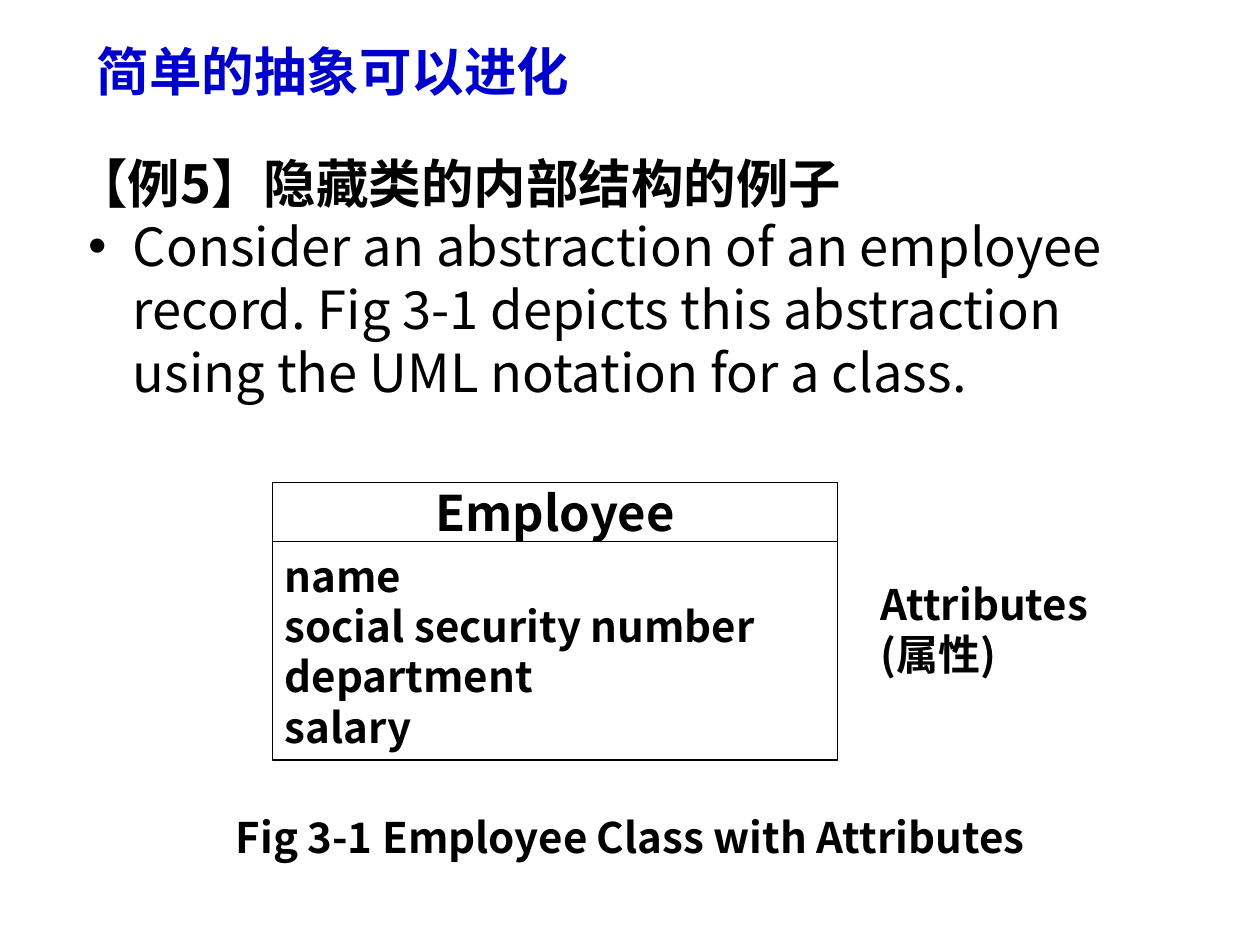
from lxml import etree
from pptx import Presentation
from pptx.dml.color import RGBColor
from pptx.enum.shapes import MSO_SHAPE
from pptx.enum.text import MSO_ANCHOR, PP_ALIGN
from pptx.oxml.ns import qn
from pptx.util import Cm, Pt

RECT = MSO_SHAPE.RECTANGLE
TOP, MIDDLE = MSO_ANCHOR.TOP, MSO_ANCHOR.MIDDLE
LEFT, CENTER = PP_ALIGN.LEFT, PP_ALIGN.CENTER
FONT = "Noto Sans CJK SC"
COLORS = {"title": "0000CC", "text": "000000", "line": "000000", "fill": "FFFFFF"}


def rgb(name):
    """Return the named colour."""
    return RGBColor.from_string(COLORS[name])


def add_bullet(p):
    """Give a paragraph a round bullet and a hanging indent."""
    pPr = p._p.get_or_add_pPr()
    pPr.set("marL", str(Cm(1.16)))
    pPr.set("indent", str(-Cm(0.9)))
    etree.SubElement(pPr, qn("a:buFont"), typeface="Arial")
    etree.SubElement(pPr, qn("a:buChar"), char="•")


def write(p, text, size, bold=True, color="text", **formats):
    """Write one formatted run into a paragraph."""
    for name, value in formats.items():
        setattr(p, name, value)
    r = p.add_run()
    r.text = text
    for name, value in {"size": Pt(size), "bold": bold, "name": FONT}.items():
        setattr(r.font, name, value)
    r.font.color.rgb = rgb(color)
    etree.SubElement(r._r.get_or_add_rPr(), qn("a:ea"), typeface=FONT)


def prepare_frame(sp, anchor=TOP):
    """Set wrapping and anchor, and return the text frame."""
    tf = sp.text_frame
    for name, value in {"word_wrap": True, "vertical_anchor": anchor}.items():
        setattr(tf, name, value)
    return tf


def add_text(s, box, text, size, **formats):
    """Add a text box with one paragraph and return its frame."""
    tf = prepare_frame(s.shapes.add_textbox(*map(Cm, box)))
    write(tf.paragraphs[0], text, size, **formats)
    return tf


def add_compartment(group, box, lines, size, alignment):
    """Add one outlined compartment of a class diagram."""
    sp = group.shapes.add_shape(RECT, *map(Cm, box))
    sp.shadow.inherit = False
    sp.fill.solid()
    sp.fill.fore_color.rgb = rgb("fill")
    sp.line.color.rgb = rgb("line")
    sp.line.width = Pt(0.75)
    tf = prepare_frame(sp, MIDDLE)
    for i, line in enumerate(lines):
        p = tf.add_paragraph() if i else tf.paragraphs[0]
        write(p, line, size, alignment=alignment)


def add_class(s, left, top, width, name, attributes):
    """Add a UML class with a name and an attribute compartment."""
    group = s.shapes.add_group_shape()
    name_height, attributes_height = 1.19, 4.4
    add_compartment(group, (left, top, width, name_height), [name], 28, CENTER)
    add_compartment(group, (left, top + name_height, width, attributes_height),
                    attributes, 24, LEFT)


def main():
    """Build the slide and save it."""
    prs = Presentation()
    prs.slide_width, prs.slide_height = Cm(25.4), Cm(19.05)
    s = prs.slides.add_slide(prs.slide_layouts[6])
    tf = add_text(s, (1.27, 2.92, 22.86, 5.41), "【例5】隐藏类的内部结构的例子", 30)
    p = tf.add_paragraph()
    add_bullet(p)
    write(p, "Consider an abstraction of an employee record. Fig 3-1 depicts "
          "this abstraction using the UML notation for a class.", 30, bold=False)
    add_text(s, (1.27, 16.23, 22.86, 1.3), "Fig 3-1 Employee Class with Attributes",
             24, alignment=CENTER)
    add_class(s, 5.49, 9.73, 11.4, "Employee",
              ["name", "social security number", "department", "salary"])
    add_text(s, (17.5, 11.53, 5.21, 2.29), "Attributes (属性)", 24)
    add_text(s, (1.7, 0.91, 10.8, 1.27), "简单的抽象可以进化", 30,
             color="title", line_spacing=0.8)
    prs.save("out.pptx")


if __name__ == "__main__":
    main()
